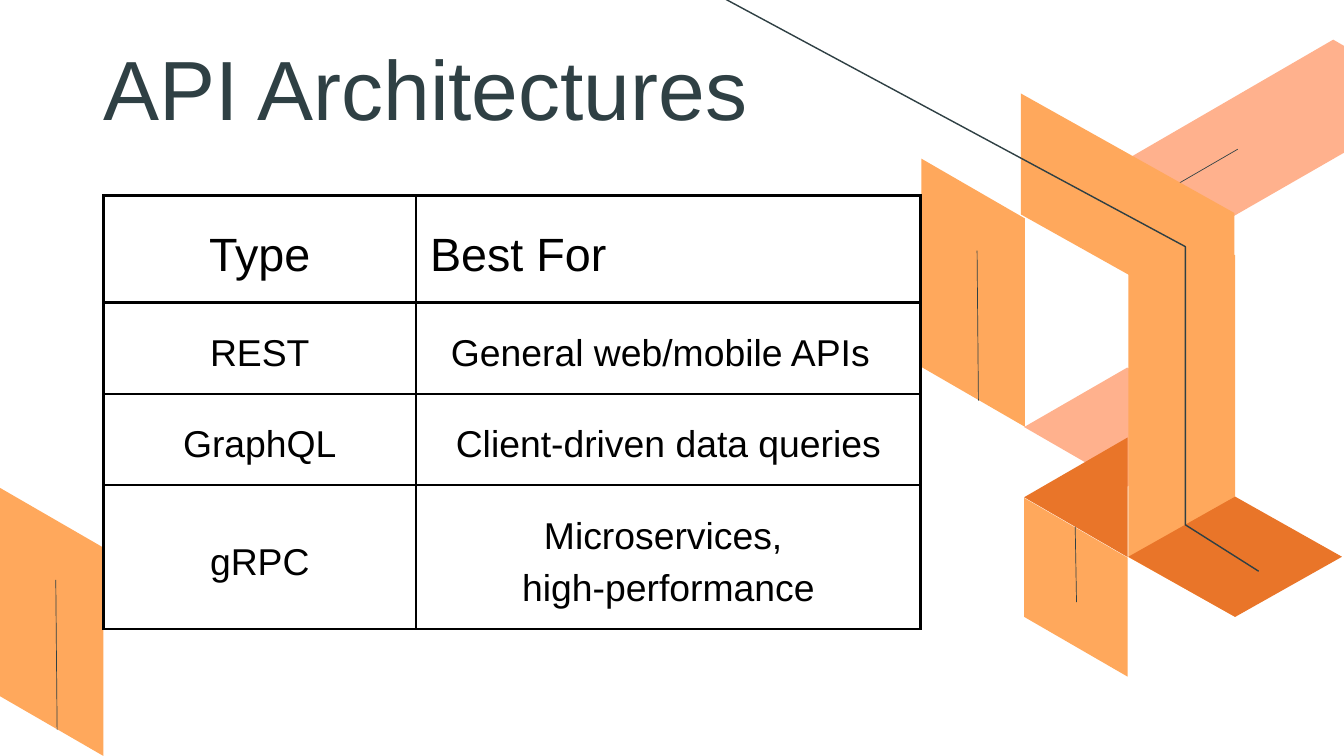
from lxml import etree
from pptx import Presentation
from pptx import util as u
from pptx.dml.color import RGBColor
from pptx.enum import shapes, text
from pptx.oxml.ns import qn

FONT = "Arial"
SLATE, BLACK = "2F4044", "000000"
ORANGE, PEACH, RUST = "FFA85C", "FFB18D", "E97529"
DROP = 0.89  # fall of a panel's slanted edge

TABLE_ROWS = [
    ("Type", "Best For"),
    ("REST", "General web/mobile APIs"),
    ("GraphQL", "Client-driven data queries"),
    ("gRPC", "Microservices, \nhigh-performance"),
]
COLUMN_WIDTHS = [4.65, 7.51]
ROW_HEIGHTS = [1.59, 1.36, 1.36, 2.14]


def colour(value):
    return RGBColor.from_string(value)


def write_text(frame, content, size, spacing, ink=BLACK, align=text.PP_ALIGN.LEFT):
    for index, line in enumerate(content.split("\n")):
        para = frame.paragraphs[0] if index == 0 else frame.add_paragraph()
        para.alignment = align
        para.line_spacing = u.Pt(spacing)
        span = para.add_run()
        span.text = line
        span.font.name = FONT
        span.font.size = u.Pt(size)
        span.font.bold = False
        span.font.color.rgb = colour(ink)


def add_outline(page, points, closed=True):
    corners = [(u.Inches(x), u.Inches(y)) for x, y in points]
    builder = page.shapes.build_freeform(*corners[0])
    builder.add_line_segments(corners[1:], close=closed)
    shape = builder.convert_to_shape()
    shape.shadow.inherit = False
    return shape


def add_polygon(page, points, fill):
    shape = add_outline(page, points)
    shape.fill.solid()
    shape.fill.fore_color.rgb = colour(fill)
    shape.line.fill.background()


def add_panel(page, left, top, width, height, drop=DROP):
    """Upright panel whose top and bottom edges fall to the right."""
    right, bottom = left + width, top + height
    add_polygon(page, [(left, top), (right, top + drop),
                       (right, bottom), (left, bottom - drop)], ORANGE)


def add_diamond(page, left, top, width, height, fill):
    middle, centre = left + width / 2, top + height / 2
    add_polygon(page, [(middle, top), (left + width, centre),
                       (middle, top + height), (left, centre)], fill)


def add_line(page, x1, y1, x2, y2):
    line = page.shapes.add_connector(shapes.MSO_CONNECTOR.STRAIGHT,
                                     *(u.Inches(v) for v in (x1, y1, x2, y2)))
    line.line.color.rgb = colour(SLATE)
    line.line.width = u.Pt(0.75)
    etree.SubElement(line._element.spPr, qn("a:effectLst"))


def add_trace(page, points):
    shape = add_outline(page, points, closed=False)
    shape.fill.background()
    shape.line.color.rgb = colour(SLATE)
    shape.line.width = u.Pt(1.5)


def add_title(page):
    title = page.shapes.title
    title.left, title.top = u.Inches(1.54), u.Inches(0.55)
    title.width, title.height = u.Inches(9.95), u.Inches(1.54)
    frame = title.text_frame
    frame.margin_left = frame.margin_right = 0
    frame.margin_top = frame.margin_bottom = 0
    frame.word_wrap = True
    frame.auto_size = text.MSO_AUTO_SIZE.NONE
    frame.vertical_anchor = text.MSO_ANCHOR.TOP
    write_text(frame, "API Architectures", 90, 108, ink=SLATE)


def set_borders(cell):
    properties = cell._tc.get_or_add_tcPr()
    for index, side in enumerate(("a:lnL", "a:lnR", "a:lnT", "a:lnB")):
        border = etree.Element(qn(side), w=str(u.Pt(3)))
        fill = etree.SubElement(border, qn("a:solidFill"))
        etree.SubElement(fill, qn("a:srgbClr"), val=BLACK)
        properties.insert(index, border)


def add_architecture_table(page):
    table = page.shapes.add_table(
        len(ROW_HEIGHTS), len(COLUMN_WIDTHS), u.Inches(1.54), u.Inches(2.91),
        u.Inches(sum(COLUMN_WIDTHS)), u.Inches(sum(ROW_HEIGHTS))).table
    table.first_row = table.horz_banding = False
    for column, width in zip(table.columns, COLUMN_WIDTHS):
        column.width = u.Inches(width)
    for row, height in zip(table.rows, ROW_HEIGHTS):
        row.height = u.Inches(height)

    left_aligned = {(0, 1), (1, 1)}
    for r, values in enumerate(TABLE_ROWS):
        size, spacing = (50, 70) if r == 0 else (40, 56)
        for c, value in enumerate(values):
            cell = table.cell(r, c)
            cell.fill.background()
            cell.margin_left = cell.margin_right = u.Inches(0.21)
            cell.margin_top = cell.margin_bottom = u.Inches(0.21)
            cell.vertical_anchor = text.MSO_ANCHOR.MIDDLE
            set_borders(cell)
            align = (text.PP_ALIGN.LEFT if (r, c) in left_aligned
                     else text.PP_ALIGN.CENTER)
            write_text(cell.text_frame, value, size, spacing, align=align)
    table.cell(1, 1).margin_left = u.Inches(0.52)  # indented entry


def add_ribbons(page):
    # Left panel
    add_panel(page, 0, 7.26, 1.54, 3.99)
    add_line(page, 0.83, 8.63, 0.85, 10.86)

    # Rear pieces
    add_diamond(page, 15.24, 5.47, 3.07, 1.77, PEACH)
    add_polygon(page, [(19.84, 0.59), (21.38, 1.48), (18.3, 3.25), (16.77, 2.37)],
                PEACH)
    add_polygon(page, [(15.24, 7.4), (16.78, 6.51), (16.78, 8.29)], RUST)
    add_panel(page, 13.71, 2.36, 1.54, 3.99)
    add_panel(page, 15.24, 7.41, 1.54, 2.66)
    add_line(page, 18.42, 2.22, 17.47, 2.77)
    add_line(page, 16, 7.84, 16.02, 8.96)
    add_line(page, 14.54, 3.73, 14.56, 5.96)

    # Front fold
    add_panel(page, 16.79, 2.91, 1.59, 6.27)
    add_panel(page, 15.19, 1.39, 3.18, 3.58, drop=2 * DROP)
    add_diamond(page, 16.79, 7.39, 3.18, 1.79, RUST)
    add_trace(page, [(10.43, -0.21), (17.64, 3.67), (17.64, 7.81), (18.73, 8.5)])


def main():
    deck = Presentation()
    deck.slide_width, deck.slide_height = u.Inches(20), u.Inches(11.25)
    page = deck.slides.add_slide(deck.slide_layouts[5])
    page.background.fill.solid()
    page.background.fill.fore_color.rgb = colour("FFFFFF")
    add_title(page)
    add_ribbons(page)
    add_architecture_table(page)
    deck.save("out.pptx")


if __name__ == "__main__":
    main()
